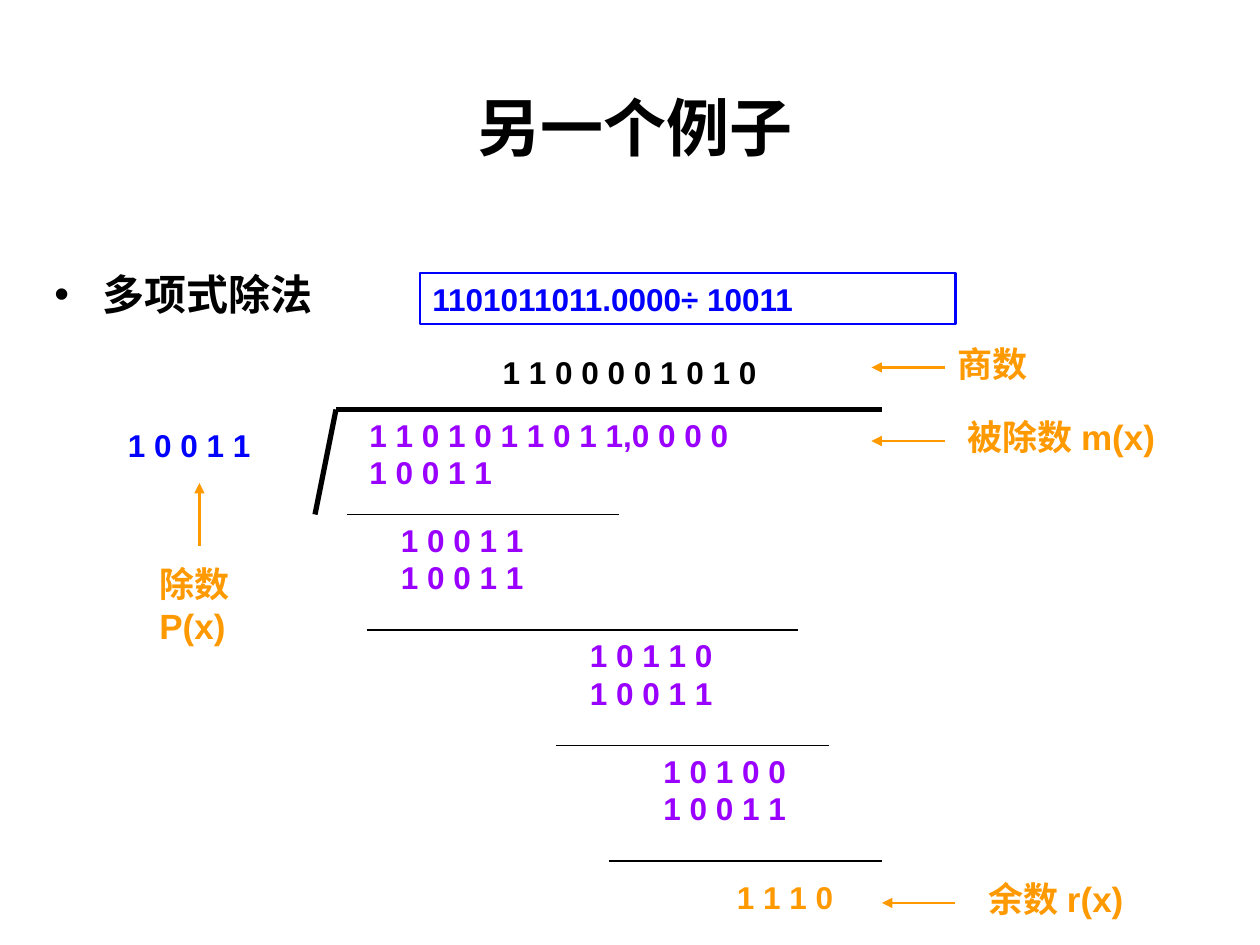
"""Builds a slide that works through a binary polynomial long division."""
from lxml import etree
from pptx import Presentation
from pptx.dml.color import RGBColor
from pptx.enum.shapes import MSO_CONNECTOR, MSO_SHAPE
from pptx.enum.text import MSO_ANCHOR, MSO_AUTO_SIZE, PP_ALIGN
from pptx.oxml.ns import qn
from pptx.util import Inches, Pt

STRAIGHT = MSO_CONNECTOR.STRAIGHT
RECTANGLE = MSO_SHAPE.RECTANGLE
MIDDLE = MSO_ANCHOR.MIDDLE
GROW = MSO_AUTO_SIZE.SHAPE_TO_FIT_TEXT
FIXED = MSO_AUTO_SIZE.NONE
LEFT, CENTER = PP_ALIGN.LEFT, PP_ALIGN.CENTER
CELLS_PER_INCH = 12
COLUMNS, ROWS = 120, 90
COLORS = {"black": "000000", "blue": "0000FF", "purple": "9900FF", "orange": "FF9900"}
DIGITS = {"size": Pt(18), "name": "Arial", "bold": True}
LABEL = {"size": Pt(20), "name": "Arial", "bold": True}
TOPIC = {"size": Pt(24), "name": "Times New Roman", "bold": True}
TITLE = {"size": Pt(36), "name": "Times New Roman", "bold": True}
DIVISOR = "1 0 0 1 1"

STEPS = [
    (34, 39, 49, "1 1 0 1 0 1 1 0 1 1,0 0 0 0"),
    (37, 49, 18, "1 0 0 1 1"),
    (55, 60, 18, "1 0 1 1 0"),
    (62, 71, 18, "1 0 1 0 0"),
]
RULES = [(33, 59, 49), (35, 76, 60), (53, 79, 71), (58, 84, 82)]
CALLOUTS = [
    ("商数", (90, 32, 11, 5.3), (90, 35, 83, 35)),
    ("被除数 m(x)", (91, 39, 22, 5.3), (90, 42, 83, 42)),
    ("余数 r(x)", (93, 83, 16, 5.3), (91, 86, 84, 86)),
    ("除数 P(x)", (14, 53, 11, 9.25), (19, 52, 19, 46)),
]


def cells(*counts):
    """Turn counts of grid cells into lengths."""
    return [Inches(count / CELLS_PER_INCH) for count in counts]


def color(name):
    """Look up a named colour."""
    return RGBColor.from_string(COLORS[name])


def apply(target, values):
    """Set each value as an attribute of the target."""
    for name, value in values.items():
        setattr(target, name, value)


def write(box, lines, font, tone, align=LEFT, **frame):
    """Write lines of text into a box, one paragraph each."""
    apply(box.text_frame, {"word_wrap": True, "auto_size": GROW, **frame})
    for index, line in enumerate(lines):
        para = box.text_frame.add_paragraph() if index else box.text_frame.paragraphs[0]
        para.alignment = align
        span = para.add_run()
        span.text = line
        apply(span.font, font)
        span.font.color.rgb = color(tone)


def add_text(shapes, place, lines, font, tone, **frame):
    """Add a text box at a place on the grid."""
    box = shapes.add_textbox(*cells(*place))
    write(box, lines, font, tone, **frame)
    return box


def add_line(shapes, ends, width, tone="black", arrow=False):
    """Add a straight line, with an arrowhead at its end if asked."""
    line = shapes.add_connector(STRAIGHT, *cells(*ends))
    line.line.width = Pt(width)
    line.line.color.rgb = color(tone)
    if arrow:
        etree.SubElement(line.line._get_or_add_ln(), qn("a:tailEnd"), type="triangle")
    etree.SubElement(line._element.spPr, qn("a:effectLst"))


def add_bullet(para):
    """Give a paragraph a hanging round bullet."""
    para.space_before = Pt(6)
    properties = para._p.get_or_add_pPr()
    properties.set("marL", str(Inches(0.38)))
    properties.set("indent", str(-Inches(0.38)))
    tint = etree.SubElement(properties, qn("a:buClr"))
    etree.SubElement(tint, qn("a:srgbClr"), val=COLORS["black"])
    etree.SubElement(properties, qn("a:buFont"), typeface="Arial")
    etree.SubElement(properties, qn("a:buChar"), char="•")


def add_callout(shapes, label, place, ends):
    """Group an orange label with its arrow."""
    group = shapes.add_group_shape()
    add_text(group.shapes, place, [label], LABEL, "orange")
    add_line(group.shapes, ends, 1.5, "orange", arrow=True)


def add_problem(shapes):
    """Add the outlined box that states the division."""
    box = shapes.add_shape(RECTANGLE, *cells(40, 26, 51, 4.85))
    box.shadow.inherit = False
    box.fill.background()
    box.line.color.rgb = color("blue")
    box.line.width = Pt(1.5)
    write(box, ["1101011011.0000÷ 10011"], DIGITS, "blue")


def add_division(shapes):
    """Add the numbers and rules of the long division."""
    for left, top, width, number in STEPS:
        add_text(shapes, (left, top, width, 8.4), [number, DIVISOR], DIGITS, "purple")
    add_text(shapes, (11, 40, 19, 4.85), [DIVISOR], DIGITS, "blue")
    add_text(shapes, (69, 83, 16, 4.85), ["1 1 1 0"], DIGITS, "orange")
    add_text(shapes, (45, 33, 37, 4.85), ["1 1 0 0 0 0 1 0 1 0"], DIGITS, "black",
             margin_left=Inches(0.24))
    for end in [(84, 39), (30, 49)]:
        add_line(shapes, (32, 39, *end), 3)
    for start, stop, row in RULES:
        add_line(shapes, (start, row, stop, row), 0.75)


def main():
    """Build and save the slide."""
    deck = Presentation()
    deck.slide_width, deck.slide_height = cells(COLUMNS, ROWS)
    page = deck.slides.add_slide(deck.slide_layouts[6])
    shapes = page.shapes
    add_text(shapes, (9, 4, 103, 16), ["另一个例子"], TITLE, "black",
             align=CENTER, vertical_anchor=MIDDLE, auto_size=FIXED)
    topic = add_text(shapes, (4, 25, 31, 6), ["多项式除法"], TOPIC, "black", auto_size=FIXED)
    add_bullet(topic.text_frame.paragraphs[0])
    add_problem(shapes)
    add_division(shapes)
    for callout in CALLOUTS:
        add_callout(shapes, *callout)
    deck.save("out.pptx")


if __name__ == "__main__":
    main()
